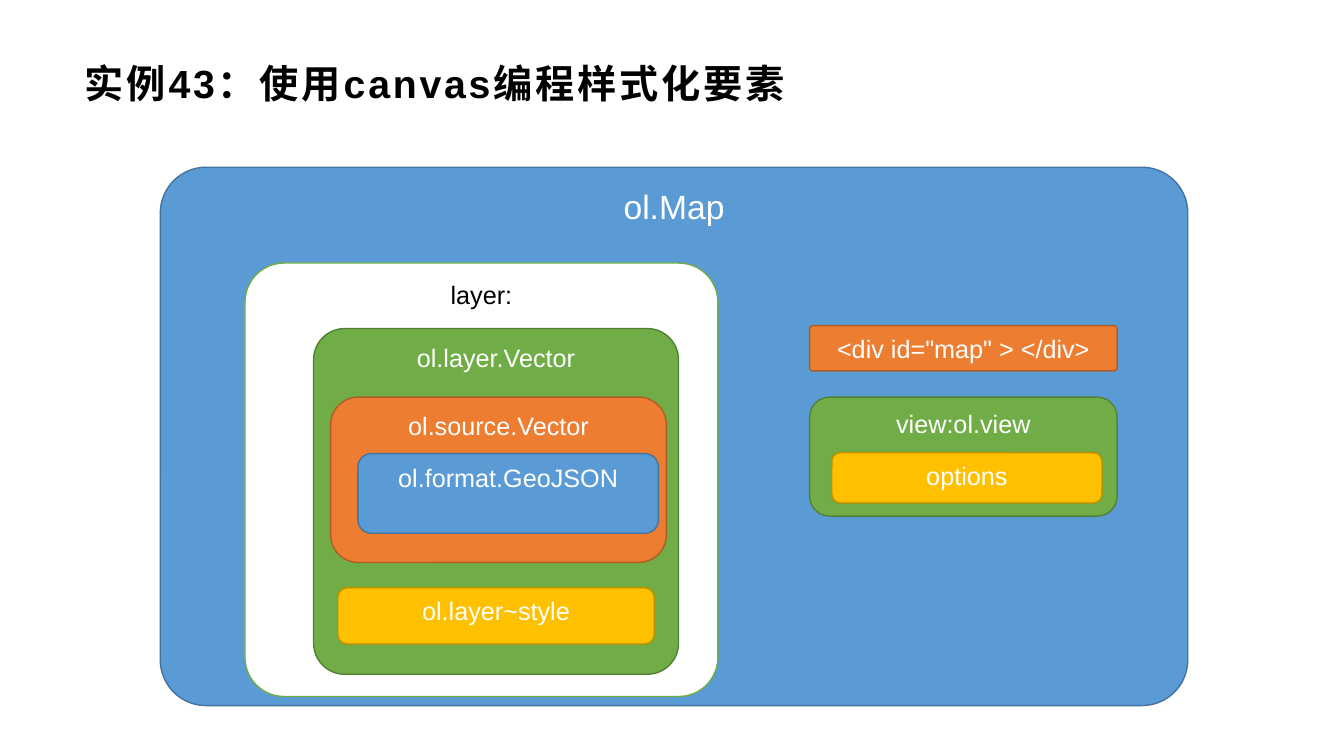
from collections import namedtuple
from dataclasses import dataclass
from lxml.etree import SubElement
from pptx import Presentation
from pptx.dml.color import RGBColor as RGB
from pptx.enum.shapes import MSO_SHAPE as Shape
from pptx.enum.text import MSO_ANCHOR as Anchor, MSO_AUTO_SIZE as Fit, PP_ALIGN as Align
from pptx.oxml.ns import qn
from pptx.util import Inches, Pt

CELL = 0.1  # side of a grid cell, in inches
Box = namedtuple("Box", "col row cols rows")
Tone = namedtuple("Tone", "fill line ink")


@dataclass(frozen=True)
class Theme:
    font: str = "Arial"
    title: int = 28
    head: int = 24
    label: int = 18
    ink: str = "000000"
    blue: Tone = Tone("5B9BD5", "43739E", "FFFFFF")
    green: Tone = Tone("70AD47", "538035", "FFFFFF")
    orange: Tone = Tone("ED7D31", "AF5C24", "FFFFFF")
    gold: Tone = Tone("FFC000", "BD8E00", "FFFFFF")
    white: Tone = Tone("FFFFFF", "70AD47", "000000")


THEME = Theme()


def span(box):
    """Turn grid cells into slide lengths."""
    return [Inches(n * CELL) for n in box]


def inner(box, col, row, cols, rows):
    """Box whose corner is counted from the corner of its parent."""
    return Box(box.col + col, box.row + row, cols, rows)


def write(frame, text, size=THEME.label, color=THEME.ink, bold=False,
          align=Align.CENTER, anchor=Anchor.TOP, gap=0):
    frame.word_wrap = True
    frame.auto_size = Fit.NONE
    frame.vertical_anchor = anchor
    para = frame.paragraphs[0]
    para.alignment = align
    run = para.add_run()
    run.text = text
    font = run.font
    font.name, font.size, font.bold = THEME.font, Pt(size), bold
    font.color.rgb = RGB.from_string(color)
    props = run._r.get_or_add_rPr()
    SubElement(props, qn("a:ea")).set("typeface", THEME.font)
    if gap:
        props.set("spc", str(gap * 100))


def block(slide, box, text, tone, size=THEME.label, curve=None, anchor=Anchor.TOP):
    shape = slide.shapes.add_shape(Shape.ROUNDED_RECTANGLE, *span(box))
    shape.shadow.inherit = False
    if curve is not None:
        shape.adjustments[0] = curve
    shape.fill.solid()
    shape.fill.fore_color.rgb = RGB.from_string(tone.fill)
    shape.line.color.rgb = RGB.from_string(tone.line)
    shape.line.width = Pt(1)
    write(shape.text_frame, text, size, tone.ink, anchor=anchor)


def title(slide, box):
    shape = slide.shapes.title
    shape.left, shape.top, shape.width, shape.height = span(box)
    frame = shape.text_frame
    frame.margin_left, frame.margin_right = Inches(0.11), Inches(0.08)
    frame.margin_top = frame.margin_bottom = Inches(0.04)
    write(frame, "实例43：使用canvas编程样式化要素", THEME.title, bold=True,
          align=Align.LEFT, anchor=Anchor.MIDDLE, gap=2)


def layer(slide, box):
    vector = inner(box, 6.8, 6.5, 36.2, 34.3)
    source = inner(vector, 1.7, 6.8, 33.3, 16.4)
    block(slide, box, "layer:", THEME.white, curve=0.09)
    block(slide, vector, "ol.layer.Vector", THEME.green, curve=0.09)
    block(slide, source, "ol.source.Vector", THEME.orange)
    block(slide, inner(source, 2.7, 5.6, 29.8, 7.9), "ol.format.GeoJSON", THEME.blue)
    block(slide, inner(vector, 2.4, 25.7, 31.4, 5.6), "ol.layer~style", THEME.gold)


def view(slide, box):
    block(slide, box, "view:ol.view", THEME.green)
    block(slide, inner(box, 2.2, 5.5, 26.8, 5), "options", THEME.gold)


def chart(slide, box):
    """The map with its target, view and layer."""
    block(slide, box, "ol.Map", THEME.blue, THEME.head, curve=0.085)
    block(slide, inner(box, 64.4, 15.7, 30.5, 4.5), '<div id="map" > </div>',
          THEME.orange, curve=0.07, anchor=Anchor.MIDDLE)
    view(slide, inner(box, 64.4, 22.8, 30.5, 11.8))
    layer(slide, inner(box, 8.4, 9.5, 46.9, 43))


def main():
    deck = Presentation()
    deck.slide_width, deck.slide_height = Inches(13.33), Inches(7.5)
    slide = deck.slides.add_slide(deck.slide_layouts[5])  # title only
    title(slide, Box(7.3, 4.7, 118.7, 7.1))
    chart(slide, Box(15.9, 16.6, 101.9, 53.4))
    deck.save("out.pptx")


if __name__ == "__main__":
    main()
